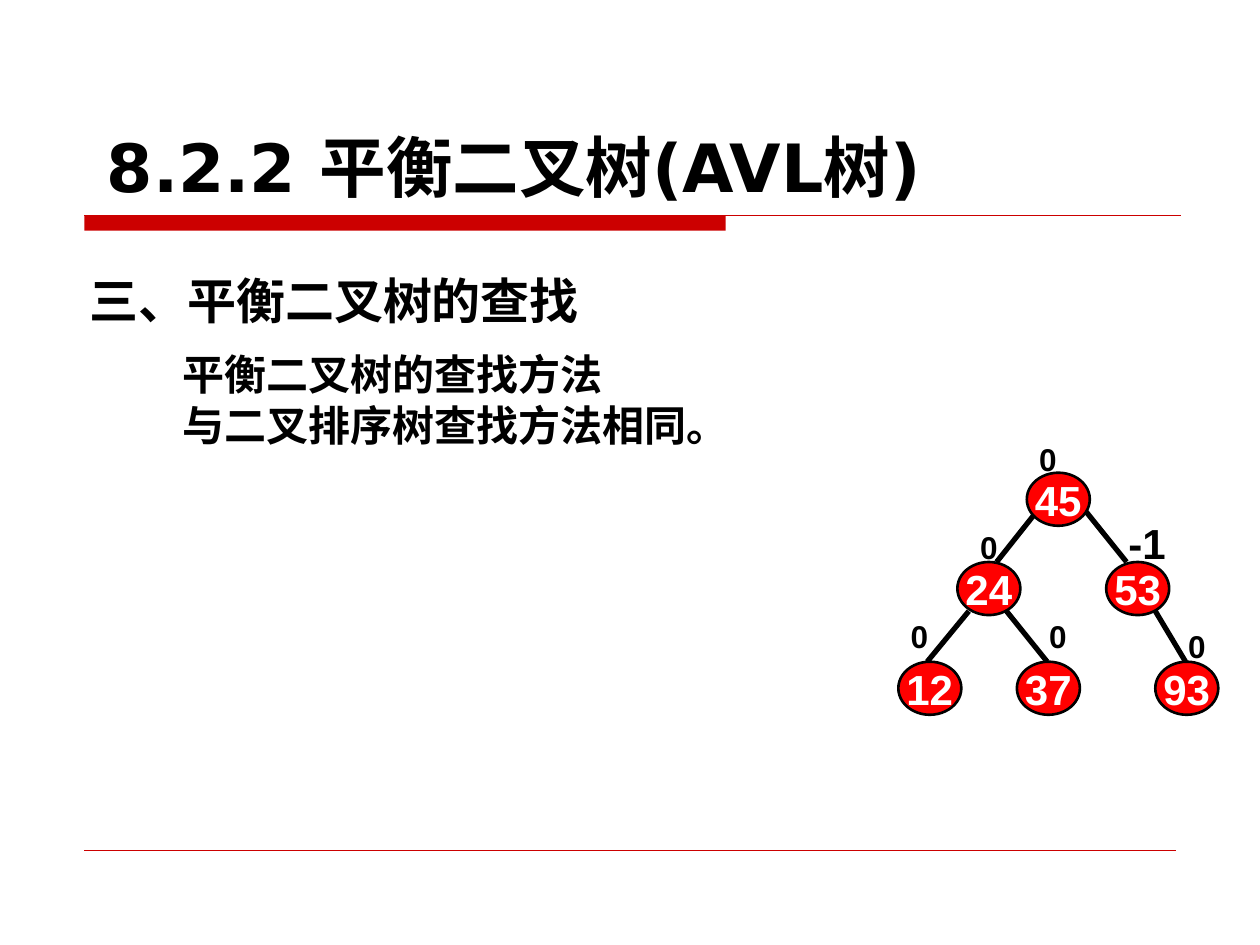
from lxml.etree import SubElement
from pptx import Presentation
from pptx.dml.color import RGBColor
from pptx.enum.shapes import MSO_CONNECTOR, MSO_SHAPE
from pptx.enum.text import MSO_ANCHOR, MSO_AUTO_SIZE, PP_ALIGN
from pptx.oxml.ns import qn
from pptx.util import Cm, Pt

NODE_WIDTH, NODE_HEIGHT = 1.27, 1.07
LEVELS = [9.53, 11.33, 13.34]
NODES = [
    ("45", 20.7, 0), ("24", 19.3, 1), ("53", 22.3, 1),
    ("12", 18.11, 2), ("37", 20.5, 2), ("93", 23.29, 2),
]
EDGES = [
    (20.9, 20.09, 1), (21.89, 22.71, 1),
    (19.53, 18.69, 2), (20.29, 21.11, 2), (23.29, 23.9, 2),
]
BALANCES = [
    ("0", 20.7, 8.74, 18), ("0", 19.51, 10.52, 18), ("-1", 22.5, 10.31, 24),
    ("0", 18.11, 12.32, 18), ("0", 20.9, 12.32, 18), ("0", 23.7, 12.52, 18),
]
LINES = [
    ("三、平衡二叉树的查找", 28, 0, 0),
    ("平衡二叉树的查找方法", 24, 1.88, 11),
    ("与二叉排序树查找方法相同。", 24, 1.88, 0),
]


def color(value):
    return RGBColor.from_string(value)


class SlideBuilder:
    """Hold the style and the current slide, and draw each kind of element."""

    accent, node_fill, ink, paper = "CC0000", "FF0000", "000000", "FFFFFF"

    def __init__(self, deck):
        self.slide = deck.slides.add_slide(deck.slide_layouts[1])

    def add_span(self, para, text, size, ink=None, name="Arial"):
        span = para.add_run()
        span.text = text
        for key, value in {"name": name, "size": Pt(size), "bold": True}.items():
            setattr(span.font, key, value)
        span.font.color.rgb = color(ink or self.ink)

    def place(self, shape, left, top, width, height):
        frame = {"left": left, "top": top, "width": width, "height": height}
        for key, value in frame.items():
            setattr(shape, key, Cm(value))

    def format_frame(self, shape, anchor, wrap=True):
        values = {
            "auto_size": MSO_AUTO_SIZE.NONE,
            "vertical_anchor": anchor,
            "word_wrap": wrap,
        }
        for key, value in values.items():
            setattr(shape.text_frame, key, value)
        return shape.text_frame

    def title(self, text):
        box = self.slide.shapes.title
        self.place(box, 1.9, 2.51, 18.64, 1.65)
        para = self.format_frame(box, MSO_ANCHOR.MIDDLE).paragraphs[0]
        para.alignment = PP_ALIGN.LEFT
        self.add_span(para, text, 38, name="DejaVu Sans")

    def body(self, lines):
        box = self.slide.placeholders[1]
        self.place(box, 1.55, 5.33, 19.15, 3.86)
        frame = self.format_frame(box, MSO_ANCHOR.TOP)
        for index, (text, size, margin, gap) in enumerate(lines):
            para = frame.add_paragraph() if index else frame.paragraphs[0]
            para.space_before = Pt(gap)
            properties = para._p.get_or_add_pPr()
            properties.set("marL", str(Cm(margin)))
            properties.set("indent", "0")
            SubElement(properties, qn("a:buNone"))
            self.add_span(para, text, size)

    def line(self, start, end, ink, width):
        points = [Cm(value) for value in (*start, *end)]
        connector = self.slide.shapes.add_connector(MSO_CONNECTOR.STRAIGHT, *points)
        connector.line.color.rgb = color(ink)
        connector.line.width = Pt(width)
        SubElement(connector._element.spPr, qn("a:effectLst"))

    def shape(self, kind, left, top, width, height, fill):
        shape = self.slide.shapes.add_shape(
            kind, Cm(left), Cm(top), Cm(width), Cm(height))
        shape.shadow.inherit = False
        shape.fill.solid()
        shape.fill.fore_color.rgb = color(fill)
        return shape

    def bar(self, left, top, width, height):
        bar = self.shape(MSO_SHAPE.RECTANGLE, left, top, width, height, self.accent)
        bar.line.fill.background()

    def node(self, text, left, top):
        node = self.shape(
            MSO_SHAPE.OVAL, left, top, NODE_WIDTH, NODE_HEIGHT, self.node_fill)
        node.line.color.rgb = color(self.ink)
        node.line.width = Pt(1.5)
        para = self.format_frame(node, MSO_ANCHOR.MIDDLE, False).paragraphs[0]
        para.alignment = PP_ALIGN.CENTER
        self.add_span(para, text, 24, self.paper)

    def label(self, text, left, top, size):
        box = self.slide.shapes.add_textbox(
            Cm(left), Cm(top), Cm(0.86 if size == 18 else 1.6), Cm(size * 0.055))
        frame = self.format_frame(box, MSO_ANCHOR.TOP, size != 18)
        self.add_span(frame.paragraphs[0], text, size)


def main():
    deck = Presentation()
    deck.slide_width, deck.slide_height = Cm(25.4), Cm(19.05)
    page = SlideBuilder(deck)
    page.bar(1.7, 4.34, 12.93, 0.31)
    page.line((1.7, 4.34), (23.8, 4.34), page.accent, 0.75)
    page.line((1.7, 17.15), (23.7, 17.15), page.accent, 0.25)
    page.title("8.2.2 平衡二叉树(AVL树)")
    page.body(LINES)
    for start, end, level in EDGES:
        top = LEVELS[level]
        page.line((start, top - 1.02), (end, top), page.ink, 3)
    for text, left, level in NODES:
        page.node(text, left, LEVELS[level])
    for balance in BALANCES:
        page.label(*balance)
    deck.save("out.pptx")


if __name__ == "__main__":
    main()
